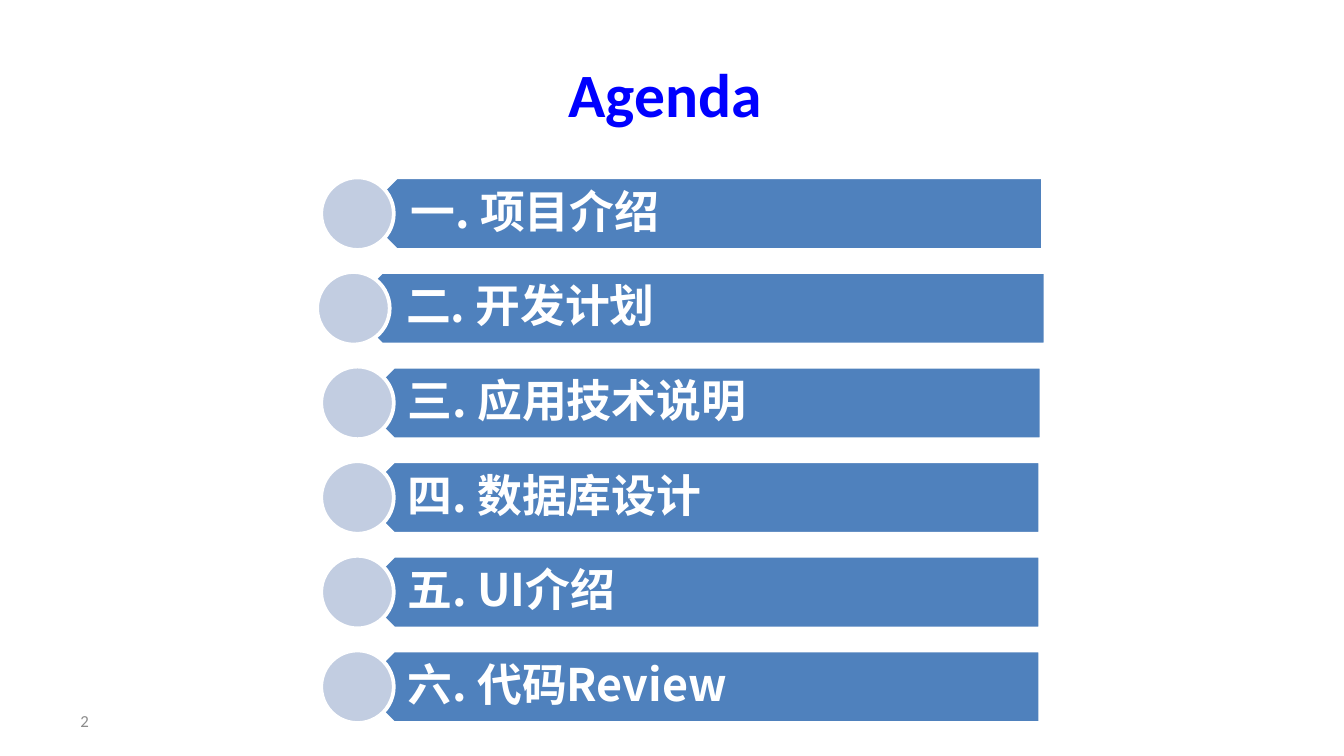
from lxml import etree
from pptx import Presentation
from pptx import util as u
from pptx.dml.color import RGBColor
from pptx.enum import shapes, text
from pptx.oxml.ns import qn

COLORS = {"title": "0000FF", "bar": "4F81BD", "dot": "C2CDE1",
          "light": "FFFFFF", "muted": "8C8C8C"}
FORMATS = {
    "title": {"name": "Calibri", "size": u.Pt(33), "bold": True},
    "item": {"name": "Noto Sans CJK SC", "size": u.Pt(24), "bold": True},
    "number": {"name": "Calibri", "size": u.Pt(9)},
}

TITLE = "Agenda "
PAGE_NUMBER = "2"
# wording, left and right edge of the bar, left edge of the dot
AGENDA = [
    ("一. 项目介绍", 2.68, 7.76, 2.39),
    (" 二. 开发计划", 2.57, 7.78, 2.36),
    ("三. 应用技术说明", 2.66, 7.75, 2.39),
    ("四. 数据库设计", 2.66, 7.74, 2.39),
    ("五. UI介绍", 2.66, 7.74, 2.39),
    ("六. 代码Review", 2.66, 7.74, 2.39),
]

SLIDE_WIDTH = 10
SLIDE_HEIGHT = SLIDE_WIDTH * 9 / 16
MARGIN = SLIDE_WIDTH / 20
TITLE_BOX = (MARGIN, SLIDE_HEIGHT * 0.04, SLIDE_WIDTH - 2 * MARGIN, SLIDE_HEIGHT / 6)
NUMBER_BOX = (MARGIN, 5.21, 2.33, 0.3)
FIRST_TOP, LAST_TOP = 1.32, 4.84
ROW_HEIGHT = 0.54
ROW_STEP = (LAST_TOP - FIRST_TOP) / (len(AGENDA) - 1)
TEXT_SHIFT = ROW_HEIGHT / 4
ITEM_MARGINS = {"left": 0.24, "top": 0.1, "right": 0.19, "bottom": 0.1}


def inches(*lengths):
    return [u.Inches(length) for length in lengths]


def write(shape, wording, style, color, align):
    frame = shape.text_frame
    frame.word_wrap = True
    frame.auto_size = text.MSO_AUTO_SIZE.NONE
    frame.vertical_anchor = text.MSO_ANCHOR.MIDDLE
    paragraph = frame.paragraphs[0]
    paragraph.alignment = align
    run = paragraph.add_run()
    run.text = wording
    for name, value in FORMATS[style].items():
        setattr(run.font, name, value)
    run.font.color.rgb = RGBColor.from_string(COLORS[color])
    east_asian = etree.SubElement(run.font._element, qn("a:ea"))
    east_asian.set("typeface", FORMATS[style]["name"])
    return frame


def add_outlined(slide, kind, box, color):
    shape = slide.shapes.add_shape(kind, *inches(*box))
    shape.shadow.inherit = False
    shape.fill.solid()
    shape.fill.fore_color.rgb = RGBColor.from_string(COLORS[color])
    shape.line.color.rgb = RGBColor.from_string(COLORS["light"])
    shape.line.width = u.Pt(2)
    return shape


def add_item(slide, row, wording, left, right, dot_left):
    top = FIRST_TOP + row * ROW_STEP
    width = right - left
    bar = add_outlined(slide, shapes.MSO_SHAPE.PENTAGON,
                       (left, top, width, ROW_HEIGHT), "bar")
    bar.rotation = 180
    label = slide.shapes.add_textbox(
        *inches(left + TEXT_SHIFT, top, width - TEXT_SHIFT, ROW_HEIGHT))
    frame = write(label, wording, "item", "light", text.PP_ALIGN.LEFT)
    for side, margin in ITEM_MARGINS.items():
        setattr(frame, f"margin_{side}", u.Inches(margin))
    frame.paragraphs[0].line_spacing = 0.9
    frame.paragraphs[0].space_after = u.Pt(8.4)
    add_outlined(slide, shapes.MSO_SHAPE.OVAL,
                 (dot_left, top, ROW_HEIGHT, ROW_HEIGHT), "dot")


def main():
    presentation = Presentation()
    presentation.slide_width, presentation.slide_height = inches(SLIDE_WIDTH, SLIDE_HEIGHT)
    slide = presentation.slides.add_slide(presentation.slide_layouts[5])

    title = slide.shapes.title
    title.left, title.top, title.width, title.height = inches(*TITLE_BOX)
    write(title, TITLE, "title", "title", text.PP_ALIGN.CENTER)

    number = slide.shapes.add_textbox(*inches(*NUMBER_BOX))
    write(number, PAGE_NUMBER, "number", "muted", text.PP_ALIGN.LEFT)

    for row, item in enumerate(AGENDA):
        add_item(slide, row, *item)
    presentation.save("out.pptx")


if __name__ == "__main__":
    main()
